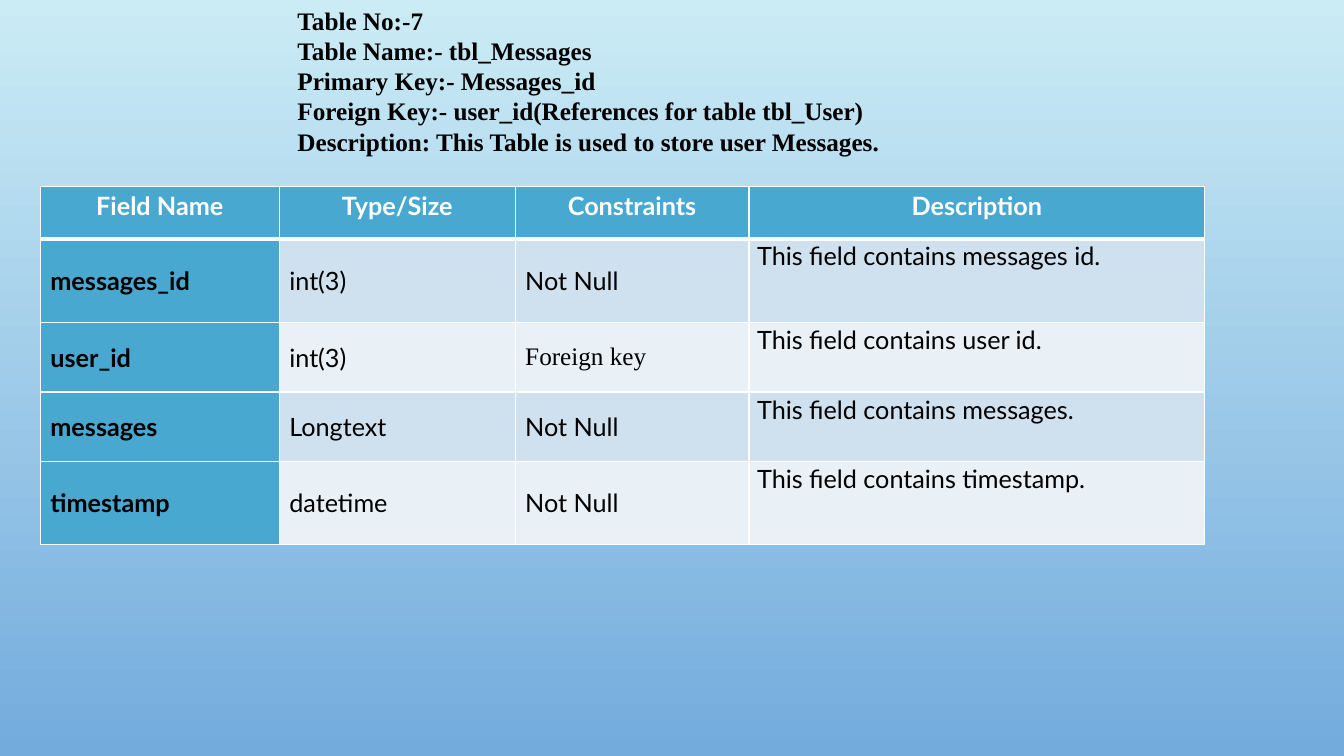
from lxml.etree import SubElement
from pptx import Presentation
from pptx.dml.color import RGBColor
from pptx.enum.text import MSO_ANCHOR as Anchor, MSO_AUTO_SIZE as AutoSize, PP_ALIGN as Align
from pptx.oxml.ns import qn
from pptx.util import Inches, Pt

BLACK = RGBColor(0x00, 0x00, 0x00)
WHITE = RGBColor(0xFF, 0xFF, 0xFF)
SKY_TOP = RGBColor(0xCB, 0xEC, 0xF5)
SKY_BOTTOM = RGBColor(0x73, 0xAB, 0xDD)
HEADER_BLUE = RGBColor(0x48, 0xA8, 0xD0)
BANDS = (RGBColor(0xCF, 0xE1, 0xEE), RGBColor(0xE9, 0xF1, 0xF7))

SANS, SERIF = "Lato", "Times New Roman"
TITLE_ONLY = 5

HEADING = [
    "Table No:-7",
    "Table Name:- tbl_Messages",
    "Primary Key:- Messages_id",
    "Foreign Key:- user_id(References for table tbl_User)",
    "Description: This Table is used to store user Messages.",
]
FIELDS = [
    ["Field Name", "Type/Size", "Constraints", "Description"],
    ["messages_id", "int(3)", "Not Null", "This field contains messages id."],
    ["user_id", "int(3)", "Foreign key", "This field contains user id."],
    ["messages", "Longtext", "Not Null", "This field contains messages."],
    ["timestamp", "datetime", "Not Null", "This field contains timestamp."],
]
COLUMN_WIDTHS = [2.37, 2.34, 2.32, 4.52]
ROW_HEIGHTS = [0.52, 0.83, 0.69, 0.69, 0.82]


class SlideBuilder:
    """Hold the text style and the current slide, and add elements to it."""

    def __init__(self, presentation):
        self.slide = presentation.slides.add_slide(presentation.slide_layouts[TITLE_ONLY])
        self.font = {"size": Pt(18), "name": SANS, "bold": False}

    def apply(self, target, values):
        for name, value in values.items():
            setattr(target, name, value)

    def background(self, colors):
        fill = self.slide.background.fill
        fill.gradient()
        fill.gradient_angle = 270
        for stop, color in zip(fill.gradient_stops, colors):
            stop.color.rgb = color

    def add_text(self, paragraph, text, color, font, layout):
        run = paragraph.add_run()
        run.text = text
        self.apply(run.font, {**self.font, **font})
        run.font.color.rgb = color
        self.apply(paragraph, layout)

    def heading(self, lines, left, top, width, height):
        title = self.slide.shapes.title
        self.apply(title, {"left": Inches(left), "top": Inches(top),
                           "width": Inches(width), "height": Inches(height)})
        frame = title.text_frame
        self.apply(frame, {"word_wrap": True, "auto_size": AutoSize.SHAPE_TO_FIT_TEXT,
                           "vertical_anchor": Anchor.TOP})
        layout = {"alignment": Align.LEFT, "line_spacing": 1.0,
                  "space_before": Pt(0), "space_after": Pt(0)}
        for index, line in enumerate(lines):
            paragraph = frame.add_paragraph() if index else frame.paragraphs[0]
            self.add_text(paragraph, line, BLACK, {"name": SERIF, "bold": True}, layout)

    def borders(self, cell, widths):
        properties = cell._tc.get_or_add_tcPr()
        for side, width in widths.items():
            line = SubElement(properties, qn(f"a:ln{side}"), w=str(Pt(width)))
            fill = SubElement(line, qn("a:solidFill"))
            SubElement(fill, qn("a:srgbClr"), val=str(WHITE))

    def cell(self, cell, text, row, column):
        is_header, is_key = row == 0, column == 0
        is_description = column == len(COLUMN_WIDTHS) - 1
        self.borders(cell, {"L": 1, "R": 1, "T": 3 if row == 1 else 1,
                            "B": 3 if is_header else 1})
        cell.fill.solid()
        cell.fill.fore_color.rgb = HEADER_BLUE if is_header or is_key else BANDS[(row - 1) % 2]
        layout = {}
        if is_header or is_description:
            self.apply(cell, {"margin_left": Inches(0.08), "margin_right": Inches(0.08),
                              "margin_top": 0, "margin_bottom": 0})
            layout = {"line_spacing": 1.15 if is_header else 1.07, "space_after": Pt(8),
                      "alignment": Align.CENTER if is_header else Align.LEFT}
        else:
            cell.vertical_anchor = Anchor.MIDDLE
        font = {"bold": is_header or is_key, "name": SERIF if text == "Foreign key" else SANS}
        color = WHITE if is_header else BLACK
        self.add_text(cell.text_frame.paragraphs[0], text, color, font, layout)

    def table(self, rows, left, top):
        table = self.slide.shapes.add_table(
            len(rows), len(COLUMN_WIDTHS), Inches(left), Inches(top),
            Inches(sum(COLUMN_WIDTHS)), Inches(sum(ROW_HEIGHTS))).table
        for column, width in zip(table.columns, COLUMN_WIDTHS):
            column.width = Inches(width)
        for row, height in zip(table.rows, ROW_HEIGHTS):
            row.height = Inches(height)
        for row, texts in enumerate(rows):
            for column, text in enumerate(texts):
                self.cell(table.cell(row, column), text, row, column)


def main():
    presentation = Presentation()
    presentation.slide_width = Inches(13.33)
    presentation.slide_height = Inches(7.5)
    builder = SlideBuilder(presentation)
    builder.background((SKY_TOP, SKY_BOTTOM))
    builder.heading(HEADING, 2.85, 0, 8.5, 1.62)
    builder.table(FIELDS, 0.4, 1.85)
    presentation.save("out.pptx")


if __name__ == "__main__":
    main()
